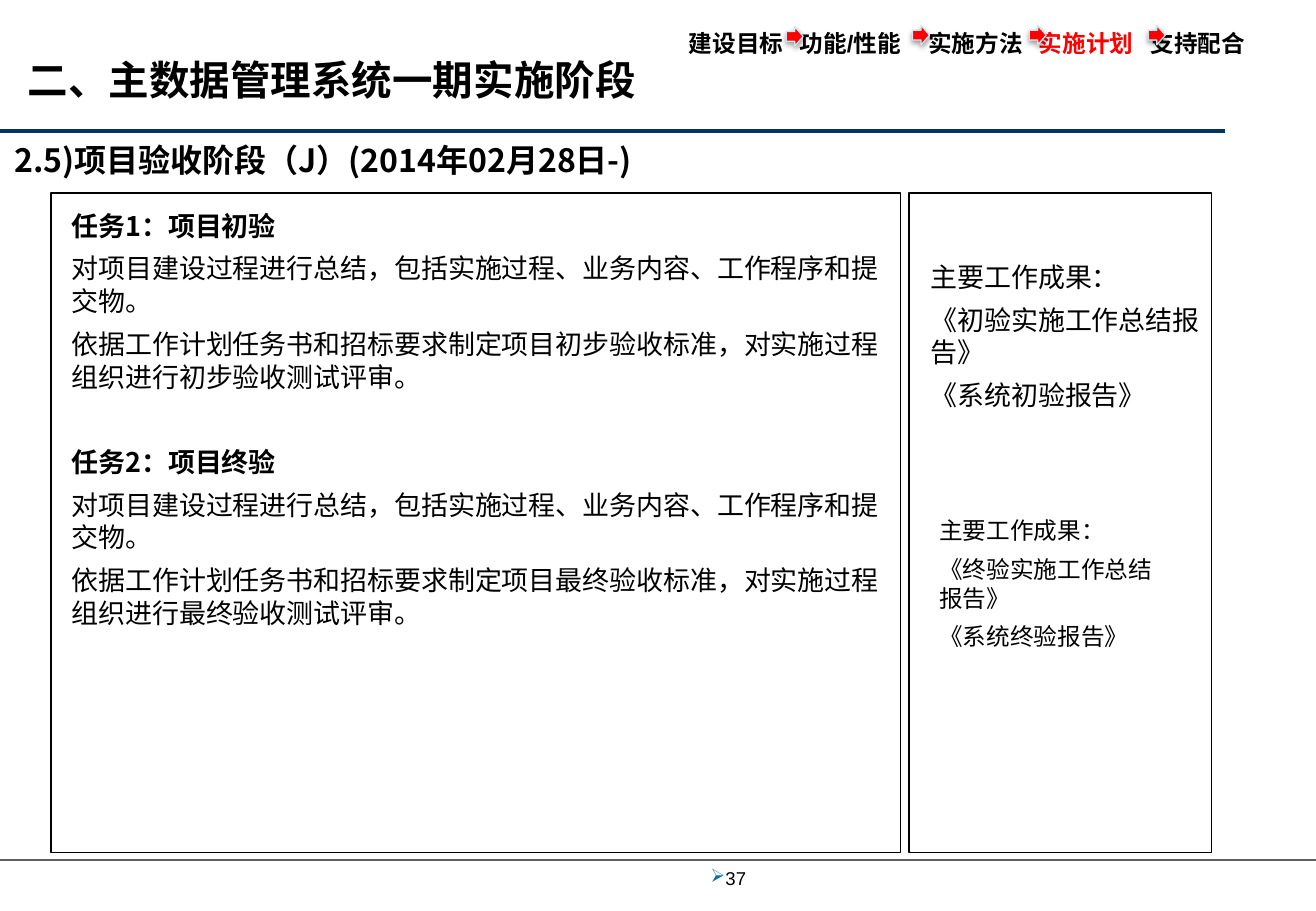
from lxml.etree import SubElement
from pptx import Presentation
from pptx.dml.color import RGBColor
from pptx.enum.shapes import MSO_CONNECTOR, MSO_SHAPE
from pptx.enum.text import MSO_ANCHOR
from pptx.oxml import parse_xml
from pptx.oxml.ns import nsdecls, qn
from pptx.util import Pt

PX = 9144  # 100 px to the inch
THEME = {
    "cjk": "Noto Sans CJK SC", "latin": "Arial",
    "black": RGBColor(0, 0, 0), "white": RGBColor(255, 255, 255),
    "red": RGBColor(255, 0, 0), "navy": RGBColor(0, 0x33, 0x66),
    "gray": RGBColor(0x5F, 0x5F, 0x5F), "pale": RGBColor(0xD0, 0xE6, 0xF1),
    "bullet": "0B6FA5",
    "title": 24, "subtitle": 19, "body": 16, "small": 14, "page": 11,
}

presentation = Presentation()
presentation.slide_width, presentation.slide_height = 1083 * PX, 750 * PX
slide = presentation.slides.add_slide(presentation.slide_layouts[6])


def add_frame(left, top, width, height, anchor=MSO_ANCHOR.TOP, margins=(10, 5, 10, 5), wrap=True):
    """Add a text box and return its text frame; margins run left, top, right, bottom."""
    box = slide.shapes.add_textbox(left * PX, top * PX, width * PX, height * PX)
    frame = box.text_frame
    frame.word_wrap = wrap
    frame.vertical_anchor = anchor
    (frame.margin_left, frame.margin_top,
     frame.margin_right, frame.margin_bottom) = (margin * PX for margin in margins)
    return frame


def add_text(frame, text, size="body", bold=False, color="black", font="cjk",
             line=1.21, after=0, new=True):
    """Write a run in a new paragraph, or in the last one; line is a multiple of the type size."""
    first = not frame.paragraphs[0].runs
    paragraph = frame.add_paragraph() if new and not first else frame.paragraphs[-1]
    paragraph.line_spacing = Pt(round(THEME[size] * line, 1))
    paragraph.space_after = Pt(after)
    run = paragraph.add_run()
    run.text = text
    run.font.size = Pt(THEME[size])
    run.font.bold = bold
    run.font.color.rgb = THEME[color]
    run.font.name = THEME[font]
    SubElement(run.font._element, qn("a:ea"), typeface=THEME["cjk"])
    return paragraph


# Rules
for y, right, color, weight in ((708, 1083, "gray", 1), (108, 1008, "navy", 2.25)):
    rule = slide.shapes.add_connector(MSO_CONNECTOR.STRAIGHT, 0, y * PX, right * PX, y * PX)
    rule.line.color.rgb = THEME[color]
    rule.line.width = Pt(weight)
    SubElement(rule._element.spPr, qn("a:effectLst"))

# Result and task panels
for left, width in ((748, 249), (42, 699)):
    panel = slide.shapes.add_shape(MSO_SHAPE.RECTANGLE, left * PX, 159 * PX, width * PX, 543 * PX)
    panel.shadow.inherit = False
    panel.fill.solid()
    panel.fill.fore_color.rgb = THEME["white"]
    panel.line.color.rgb = THEME["black"]
    panel.line.width = Pt(0.75)

# Headings
title = add_frame(0, 27, 528, 76, MSO_ANCHOR.MIDDLE, (23, 18, 0, 18), wrap=False)
add_text(title, "二、主数据管理系统一期实施阶段", "title", bold=True)
subtitle = add_frame(2, 92, 975, 79, MSO_ANCHOR.MIDDLE)
add_text(subtitle, "2.5)项目验收阶段（J）(2014年02月28日-)", "subtitle", bold=True)

# Tasks
tasks = add_frame(49, 167, 691, 356)
for number, (name, standard) in enumerate((("初验", "初步"), ("终验", "最终")), 1):
    add_text(tasks, f"任务{number}：项目{name}", bold=True, after=6)
    add_text(tasks, "对项目建设过程进行总结，包括实施过程、业务内容、工作程序和提交物。", after=6)
    add_text(tasks, f"依据工作计划任务书和招标要求制定项目{standard}验收标准，"
                    f"对实施过程组织进行{standard}验收测试评审。", after=31)

# Results
for name, size, place in (("初验", "body", (756, 209, 246, 135)),
                          ("终验", "small", (763, 420, 205, 121))):
    results = add_frame(*place)
    for text in ("主要工作成果：", f"《{name}实施工作总结报告》", f"《系统{name}报告》"):
        add_text(results, text, size, after=6)

# Progress trail
trail = add_frame(557, 11, 512, 41, wrap=False)
steps = ("建设目标", "功能/性能", "实施方法", "实施计划", "支持配合")
for index, step in enumerate(steps):
    paragraph = add_text(trail, step if index == 0 else "\t" + step, "small", bold=True,
                         color="red" if step == "实施计划" else "black",
                         font="latin", line=1.6, new=False)
tabs = SubElement(paragraph._p.get_or_add_pPr(), qn("a:tabLst"))
for position in (91, 197, 288, 380):
    SubElement(tabs, qn("a:tab"), pos=str(position * PX), algn="l")

for left, top in ((647, 22), (751, 21), (847, 21), (945, 21)):
    arrow = slide.shapes.add_shape(MSO_SHAPE.RIGHT_ARROW, left * PX, top * PX, 14 * PX, 16 * PX)
    arrow.fill.solid()
    arrow.fill.fore_color.rgb = THEME["red"]
    arrow.line.color.rgb = THEME["pale"]
    arrow.line.width = Pt(0.75)
    arrow._element.spPr.append(parse_xml(
        f'<a:effectLst {nsdecls("a")}><a:outerShdw blurRad="{Pt(3.1)}" dist="{Pt(1.6)}" '
        'dir="5400000" rotWithShape="0"><a:srgbClr val="000000"><a:alpha val="38000"/>'
        '</a:srgbClr></a:outerShdw></a:effectLst>'))

# Page number
page = add_frame(575, 698, 158, 34, MSO_ANCHOR.BOTTOM, (10, 5, 10, 0))
paragraph = add_text(page, "37", "page", font="latin", line=1)
properties = paragraph._p.get_or_add_pPr()
properties.set("marL", str(12 * PX))
properties.set("indent", str(-12 * PX))
bullet_color = SubElement(properties, qn("a:buClr"))
SubElement(bullet_color, qn("a:srgbClr"), val=THEME["bullet"])
SubElement(properties, qn("a:buFont"), typeface="Wingdings", charset="2")
SubElement(properties, qn("a:buChar"), char="Ø")

presentation.save("out.pptx")
